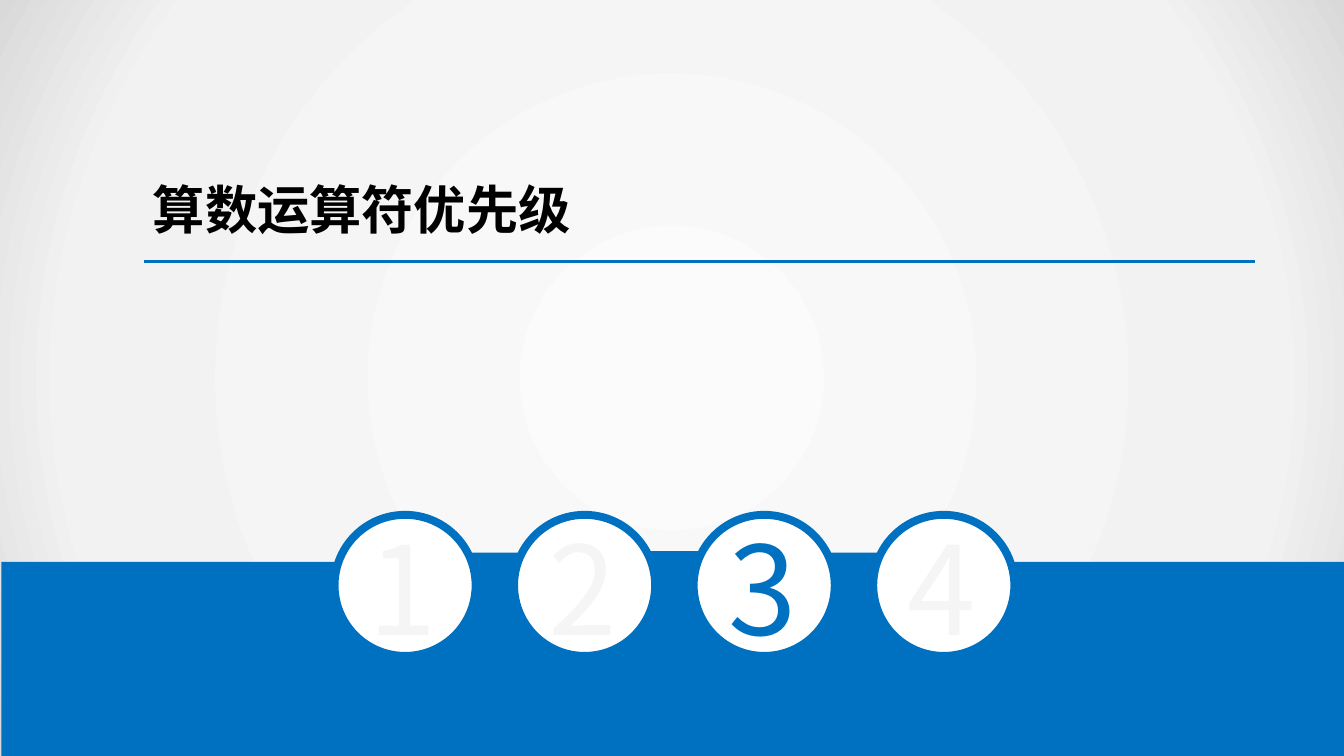
import math
from dataclasses import dataclass

import pptx
import pptx.dml.color
import pptx.enum.shapes
import pptx.enum.text
import pptx.oxml
import pptx.oxml.ns
import pptx.util
from lxml import etree

Pt = pptx.util.Pt
SHAPE = pptx.enum.shapes.MSO_SHAPE
ANCHOR = pptx.enum.text.MSO_ANCHOR
AUTO_SIZE = pptx.enum.text.MSO_AUTO_SIZE
qn = pptx.oxml.ns.qn


@dataclass(frozen=True)
class Theme:
    font: str = "Noto Sans CJK SC"
    blue: str = "0070C0"
    white: str = "FFFFFF"
    black: str = "000000"
    muted: str = "F5F5F5"
    backdrop: tuple = ((0, "FBFBFB"), (79, "F2F2F2"), (100, "D9D9D9"))
    title_size: int = 28
    number_size: int = 66


THEME = Theme()
WIDTH, HEIGHT = 720, 405
PITCH = 96.2
ACTIVE = 3


def rgb(value):
    return pptx.dml.color.RGBColor.from_string(value)


def paint(sp, fill, line=None, line_width=0):
    sp.shadow.inherit = False
    sp.fill.solid()
    sp.fill.fore_color.rgb = rgb(fill)
    if line:
        sp.line.color.rgb = rgb(line)
        sp.line.width = Pt(line_width)
    else:
        sp.line.fill.background()


def add_filled_shape(s, kind, box, fill, line=None, line_width=0):
    sp = s.shapes.add_shape(kind, *map(Pt, box))
    paint(sp, fill, line, line_width)
    return sp


def add_backdrop(s):
    """Cover the slide with a radial gradient from the centre outwards."""
    sp = add_filled_shape(s, SHAPE.RECTANGLE, (0, 0, WIDTH, HEIGHT), THEME.white)
    stops = "".join(
        f'<a:gs pos="{pos * 1000}"><a:srgbClr val="{color}"/></a:gs>'
        for pos, color in THEME.backdrop
    )
    gradient = pptx.oxml.parse_xml(
        f'<a:gradFill {pptx.oxml.ns.nsdecls("a")} rotWithShape="1">'
        f'<a:gsLst>{stops}</a:gsLst><a:path path="circle">'
        '<a:fillToRect l="50000" t="50000" r="50000" b="50000"/>'
        '</a:path></a:gradFill>'
    )
    sp_pr = sp._element.spPr
    sp_pr.replace(sp_pr.find(qn("a:solidFill")), gradient)


def add_band(s):
    """Draw the blue footer with rounded notches in its top edge."""
    left, top, radius_x, radius_y = 0.7, 301, 12, 11.7
    points = []
    for i in range(3):
        center = 265.3 + i * PITCH
        for step in range(13):
            angle = math.pi * step / 12
            points.append((center - radius_x * math.cos(angle),
                           top + radius_y * math.sin(angle)))
    points += [(left + WIDTH, top), (left + WIDTH, HEIGHT), (left, HEIGHT)]
    builder = s.shapes.build_freeform(Pt(left), Pt(top))
    builder.add_line_segments([(Pt(x), Pt(y)) for x, y in points], close=True)
    paint(builder.convert_to_shape(), THEME.blue)


def add_text(s, box, text, size, color, bold=None):
    tf = s.shapes.add_textbox(*map(Pt, box)).text_frame
    tf.text = text
    r = tf.paragraphs[0].runs[0]
    r.font.size = Pt(size)
    r.font.bold = bold
    r.font.color.rgb = rgb(color)
    r.font.name = THEME.font
    east_asian = etree.SubElement(r._r.get_or_add_rPr(), qn("a:ea"))
    east_asian.set("typeface", THEME.font)
    return tf


def add_title(s):
    tf = add_text(s, (77, 83.5, 305.3, 56.9), "算数运算符优先级",
                  THEME.title_size, THEME.black, bold=True)
    tf.word_wrap = True
    tf.vertical_anchor = ANCHOR.MIDDLE
    tf.margin_left = tf.margin_right = Pt(5)
    tf.margin_top = tf.margin_bottom = Pt(2.9)


def add_rule(s):
    y = Pt(140.2)
    line = s.shapes.add_connector(
        pptx.enum.shapes.MSO_CONNECTOR.STRAIGHT, Pt(77), y, Pt(672.5), y)
    line.line.color.rgb = rgb(THEME.blue)
    line.line.width = Pt(1.25)
    etree.SubElement(line._element.spPr, qn("a:effectLst"))


def add_joiners(s):
    """Draw the blue blocks that bridge neighbouring circles."""
    add_filled_shape(s, SHAPE.RECTANGLE, (347, 296, 33.8, 28), THEME.blue,
                     THEME.blue, 2)
    for left in (437.8, 249.1):
        add_filled_shape(s, SHAPE.RECTANGLE, (left, 296, 33.8, 29.5), THEME.blue)


def add_circle(s, index):
    add_filled_shape(s, SHAPE.OVAL, (179.2 + index * PITCH, 275.8, 75.6, 75.6),
                     THEME.white, THEME.blue, 4.25)


def add_number(s, index):
    number = index + 1
    color = THEME.blue if number == ACTIVE else THEME.muted
    tf = add_text(s, (190.6 + index * PITCH, 270.7, 50.4, 87.1), str(number),
                  THEME.number_size, color)
    tf.word_wrap = False
    tf.auto_size = AUTO_SIZE.SHAPE_TO_FIT_TEXT


def main():
    prs = pptx.Presentation()
    prs.slide_width, prs.slide_height = Pt(WIDTH), Pt(HEIGHT)
    s = prs.slides.add_slide(prs.slide_layouts[6])
    add_backdrop(s)
    add_joiners(s)
    add_band(s)
    for index in range(4):
        add_circle(s, index)
    add_title(s)
    add_rule(s)
    for index in range(4):
        add_number(s, index)
    prs.save("out.pptx")


if __name__ == "__main__":
    main()
